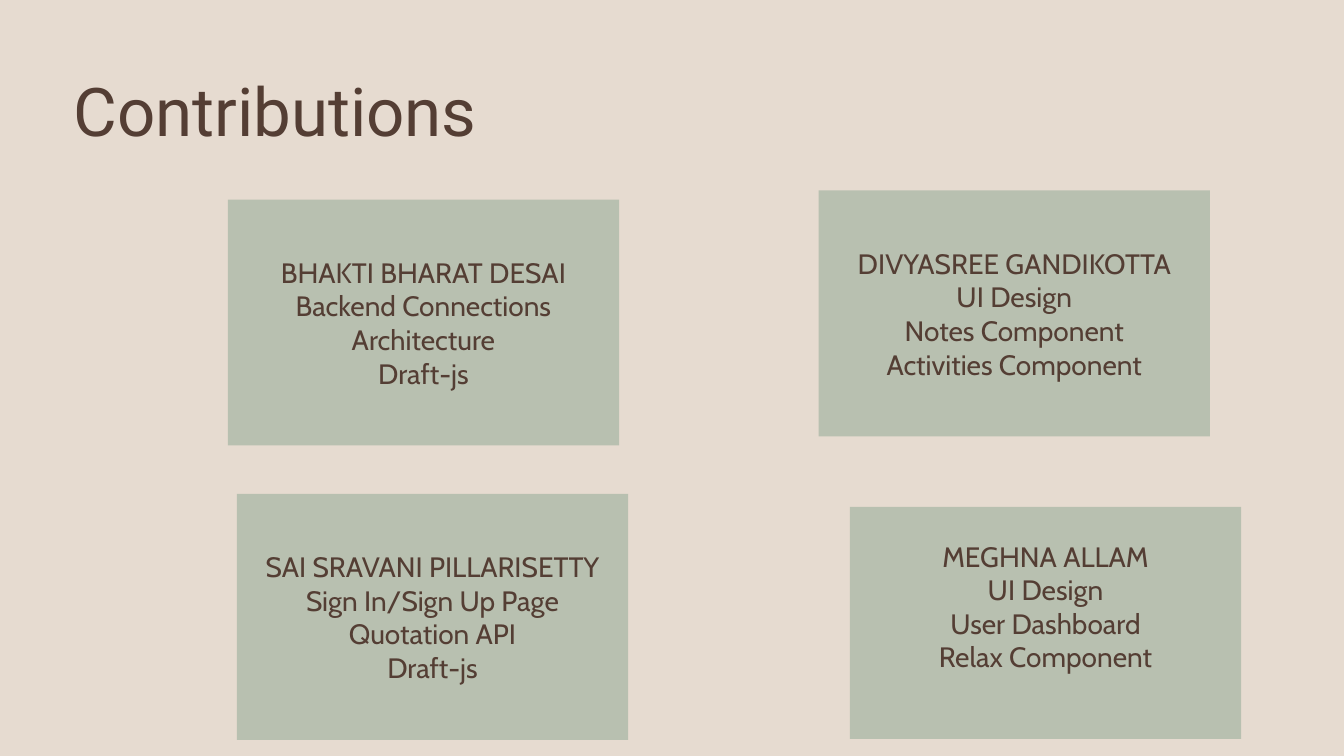
from pptx import Presentation
from pptx.dml.color import RGBColor
from pptx.enum.shapes import MSO_SHAPE
from pptx.enum.text import MSO_ANCHOR, PP_ALIGN
from pptx.util import Inches, Pt

BEIGE = RGBColor(0xE6, 0xDB, 0xD0)
SAGE = RGBColor(0xB8, 0xC0, 0xB0)
BROWN = RGBColor(0x54, 0x3E, 0x34)

CARD_WIDTH = 3.88
# left, top, height, bottom inset, lines
CARDS = [
    (2.26, 1.98, 2.44, 0.05,
     ["BHAKTI BHARAT DESAI", "Backend Connections", "Architecture", "Draft-js"]),
    (8.12, 1.89, 2.44, 0.05,
     ["DIVYASREE GANDIKOTTA", "UI Design", "Notes Component", "Activities Component"]),
    (8.43, 5.03, 2.3, 0.38,
     ["MEGHNA ALLAM", "UI Design", "User Dashboard", "Relax Component"]),
    (2.35, 4.9, 2.44, 0.05,
     ["SAI SRAVANI PILLARISETTY", "Sign In/Sign Up Page", "Quotation API", "Draft-js"]),
]


def style_paragraph(paragraph, font_name, size):
    paragraph.font.name = font_name
    paragraph.font.size = Pt(size)
    paragraph.font.color.rgb = BROWN


def add_title(slide, text):
    box = slide.shapes.add_textbox(Inches(0.63), Inches(0.77), Inches(10), Inches(0.74))
    frame = box.text_frame
    frame.word_wrap = True
    frame.vertical_anchor = MSO_ANCHOR.MIDDLE
    paragraph = frame.paragraphs[0]
    paragraph.text = text
    paragraph.line_spacing = 0.9
    style_paragraph(paragraph, "Roboto", 48)


def add_card(slide, left, top, height, bottom_inset, lines):
    card = slide.shapes.add_shape(
        MSO_SHAPE.RECTANGLE, Inches(left), Inches(top), Inches(CARD_WIDTH), Inches(height))
    card.shadow.inherit = False
    card.fill.solid()
    card.fill.fore_color.rgb = SAGE
    card.line.fill.background()
    frame = card.text_frame
    frame.word_wrap = True
    frame.vertical_anchor = MSO_ANCHOR.MIDDLE
    frame.margin_bottom = Inches(bottom_inset)
    frame.text = "\n".join(lines)
    for paragraph in frame.paragraphs:
        paragraph.alignment = PP_ALIGN.CENTER
        style_paragraph(paragraph, "Cabin", 20)


def main():
    presentation = Presentation()
    presentation.slide_width = Inches(13.33)
    presentation.slide_height = Inches(7.5)
    slide = presentation.slides.add_slide(presentation.slide_layouts[6])
    slide.background.fill.solid()
    slide.background.fill.fore_color.rgb = BEIGE
    add_title(slide, "Contributions")
    for card in CARDS:
        add_card(slide, *card)
    presentation.save("out.pptx")


if __name__ == "__main__":
    main()
